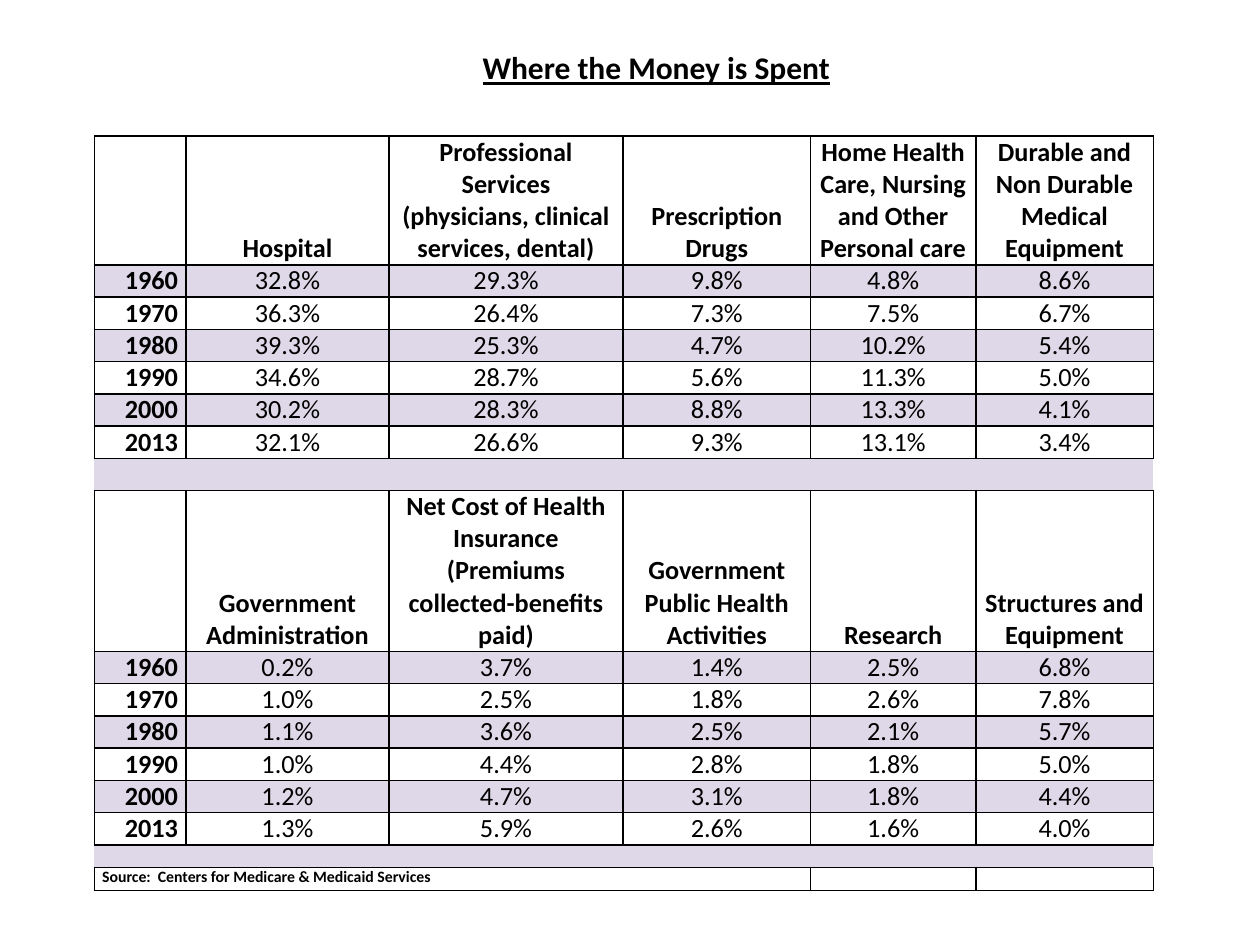
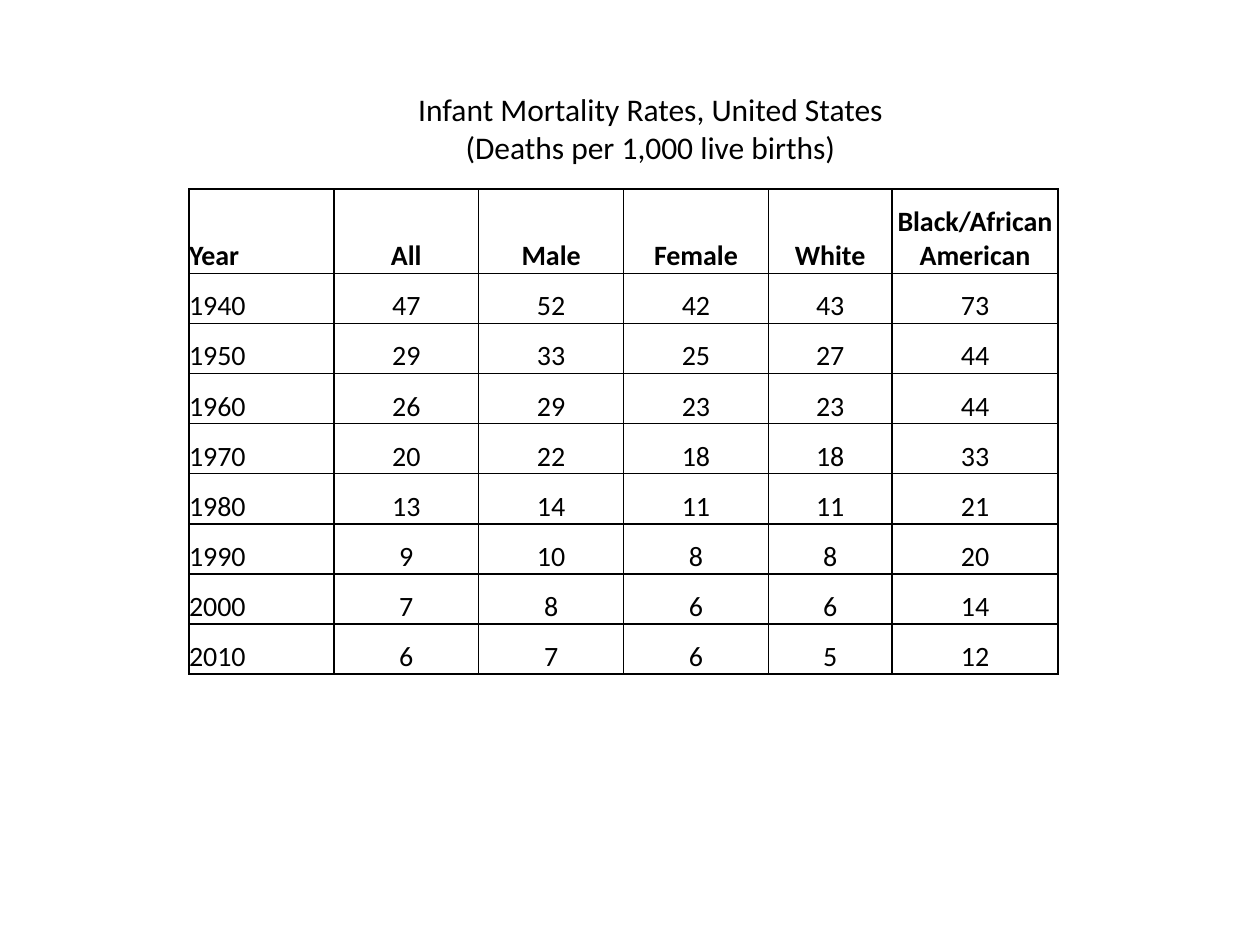
from dataclasses import dataclass
from typing import Optional

from lxml import etree
from pptx import Presentation
from pptx import util as u
from pptx.dml.color import RGBColor
from pptx.enum import text
from pptx.oxml.ns import qn

LEFT, CENTER, RIGHT = text.PP_ALIGN.LEFT, text.PP_ALIGN.CENTER, text.PP_ALIGN.RIGHT
TOP, BOTTOM = text.MSO_ANCHOR.TOP, text.MSO_ANCHOR.BOTTOM


@dataclass(frozen=True)
class Theme:
    font: str = "Calibri"
    ink: str = "000000"
    paper: str = "FFFFFF"
    band: str = "DFD8E8"
    title: float = 18
    spending: float = 15
    mortality: float = 16
    source: float = 9
    rule: float = 1


THEME = Theme()


@dataclass(frozen=True)
class CellStyle:
    size: float
    bold: bool = False
    align: text.PP_ALIGN = CENTER
    anchor: text.MSO_ANCHOR = BOTTOM
    inset: float = 0
    fill: Optional[str] = None
    side_rules: bool = True


@dataclass(frozen=True)
class Row:
    values: list[str]
    height: float
    first: CellStyle
    rest: CellStyle


# Shared drawing
def write_text(frame, content: str, *, size: float, bold: bool = False,
               underline: bool = False, align: text.PP_ALIGN = LEFT) -> None:
    for number, line in enumerate(content.split("\n")):
        para = frame.add_paragraph() if number else frame.paragraphs[0]
        para.alignment = align
        if not line:
            etree.SubElement(para._p, qn("a:endParaRPr"), sz=str(int(size * 100)))
            continue
        span = para.add_run()
        span.text = line
        span.font.name = THEME.font
        span.font.size = u.Pt(size)
        span.font.bold = bold
        span.font.underline = underline
        span.font.color.rgb = RGBColor.from_string(THEME.ink)


def draw_title(page, content: str, left: float, top: float, width: float,
               height: float, **style) -> None:
    box = page.shapes.add_textbox(u.Cm(left), u.Cm(top), u.Cm(width), u.Cm(height))
    box.text_frame.word_wrap = True
    box.text_frame.auto_size = text.MSO_AUTO_SIZE.SHAPE_TO_FIT_TEXT
    write_text(box.text_frame, content, size=THEME.title, align=CENTER, **style)


def rule_cell(cell, side_rules: bool) -> None:
    properties = cell._tc.get_or_add_tcPr()
    for side in "LRTB":
        line = etree.SubElement(properties, qn(f"a:ln{side}"), w=str(u.Pt(THEME.rule)))
        if side in "LR" and not side_rules:
            etree.SubElement(line, qn("a:noFill"))
        else:
            paint = etree.SubElement(line, qn("a:solidFill"))
            etree.SubElement(paint, qn("a:srgbClr"), val=THEME.ink)


def draw_cell(cell, content: str, style: CellStyle) -> None:
    rule_cell(cell, style.side_rules)
    if style.fill:
        cell.fill.solid()
        cell.fill.fore_color.rgb = RGBColor.from_string(style.fill)
    else:
        cell.fill.background()
    cell.margin_left = cell.margin_right = u.Cm(style.inset)
    cell.margin_top = cell.margin_bottom = 0
    cell.vertical_anchor = style.anchor
    write_text(cell.text_frame, content, size=style.size, bold=style.bold,
               align=style.align)


def draw_table(page, left: float, top: float, widths: list[float], rows: list[Row]):
    table = page.shapes.add_table(
        len(rows), len(widths), u.Cm(left), u.Cm(top), u.Cm(sum(widths)),
        u.Cm(sum(row.height for row in rows))).table
    table.first_row = table.horz_banding = False
    for column, width in zip(table.columns, widths):
        column.width = u.Cm(width)
    for r, row in enumerate(rows):
        table.rows[r].height = u.Cm(row.height)
        for c, value in enumerate(row.values):
            draw_cell(table.cell(r, c), value, row.rest if c else row.first)
    return table


# Health spending
SPENDING_WIDTHS = [1.85, 4.09, 4.72, 3.78, 3.33, 3.58]
SPENDING_INSET = 0.16
SPENDING_LINE = 0.65
SOURCE_LINE = 0.46
SPENDING_YEARS = ["1960", "1970", "1980", "1990", "2000", "2013"]

CARE_HEADS = ["Hospital", "Professional Services (physicians, clinical services, dental)",
              "Prescription Drugs", "Home Health Care, Nursing and Other Personal care",
              "Durable and Non Durable Medical Equipment"]
CARE_SHARES = [
    [32.8, 29.3, 9.8, 4.8, 8.6],
    [36.3, 26.4, 7.3, 7.5, 6.7],
    [39.3, 25.3, 4.7, 10.2, 5.4],
    [34.6, 28.7, 5.6, 11.3, 5.0],
    [30.2, 28.3, 8.8, 13.3, 4.1],
    [32.1, 26.6, 9.3, 13.1, 3.4],
]
OTHER_HEADS = ["Government Administration",
               "Net Cost of Health Insurance (Premiums collected-benefits paid)",
               "Government Public Health Activities", "Research",
               "Structures and Equipment"]
OTHER_SHARES = [
    [0.2, 3.7, 1.4, 2.5, 6.8],
    [1.0, 2.5, 1.8, 2.6, 7.8],
    [1.1, 3.6, 2.5, 2.1, 5.7],
    [1.0, 4.4, 2.8, 1.8, 5.0],
    [1.2, 4.7, 3.1, 1.8, 4.4],
    [1.3, 5.9, 2.6, 1.6, 4.0],
]


def spending_block(heads: list[str], head_height: float, shares: list[list[float]],
                   gap_height: float) -> list[Row]:
    """Header, banded years and the open band that closes the block."""
    head = CellStyle(THEME.spending, bold=True, inset=SPENDING_INSET)
    gap = CellStyle(THEME.source, fill=THEME.band, side_rules=False)
    rows = [Row(["", *heads], head_height, head, head)]
    for number, (year, values) in enumerate(zip(SPENDING_YEARS, shares)):
        fill = None if number % 2 else THEME.band
        rows.append(Row(
            [year, *(f"{value:.1f}%" for value in values)], SPENDING_LINE,
            CellStyle(THEME.spending, True, RIGHT, TOP, SPENDING_INSET, fill),
            CellStyle(THEME.spending, False, CENTER, TOP, SPENDING_INSET, fill)))
    return rows + [Row([""] * len(SPENDING_WIDTHS), gap_height, gap, gap)]


def draw_spending(page) -> None:
    source = CellStyle(THEME.source, True, LEFT, TOP, SPENDING_INSET)
    rows = spending_block(CARE_HEADS, 2.6, CARE_SHARES, SPENDING_LINE)
    rows += spending_block(OTHER_HEADS, 3.24, OTHER_SHARES, SOURCE_LINE)
    rows.append(Row(["Source:  Centers for Medicare & Medicaid Services"] + [""] * 5,
                    SOURCE_LINE, source, source))
    table = draw_table(page, 1.9, 2.74, SPENDING_WIDTHS, rows)
    last = len(rows) - 1
    table.cell(last, 0).merge(table.cell(last, 3))
    draw_title(page, "Where the Money is Spent", 7.2, 0.85, 12.06, 1.03,
               bold=True, underline=True)


# Infant mortality
MORTALITY_WIDTHS = [2.92] * 4 + [2.49, 3.35]
MORTALITY_HEADS = ["Year", "All", "Male", "Female", "White", "Black/African American"]
MORTALITY_RATES = {
    1940: [47, 52, 42, 43, 73],
    1950: [29, 33, 25, 27, 44],
    1960: [26, 29, 23, 23, 44],
    1970: [20, 22, 18, 18, 33],
    1980: [13, 14, 11, 11, 21],
    1990: [9, 10, 8, 8, 20],
    2000: [7, 8, 6, 6, 14],
    2010: [6, 7, 6, 5, 12],
}


def mortality_row(values: list, height: float, bold: bool = False) -> Row:
    first, rest = (CellStyle(THEME.mortality, bold, align, fill=THEME.paper)
                   for align in (LEFT, CENTER))
    return Row([str(value) for value in values], height, first, rest)


def draw_mortality(page) -> None:
    rows = [mortality_row(MORTALITY_HEADS, 1.7, bold=True)]
    rows += [mortality_row([year, *rates], 1.01) for year, rates in MORTALITY_RATES.items()]
    draw_table(page, 3.81, 3.81, MORTALITY_WIDTHS, rows)
    draw_title(page, "Infant Mortality Rates, United States\n(Deaths per 1,000 live births)",
               6.55, 1.7, 13.13, 1.8)


def main() -> None:
    deck = Presentation()
    deck.slide_width, deck.slide_height = u.Cm(25.4), u.Cm(19.05)
    for draw in (draw_spending, draw_mortality):
        draw(deck.slides.add_slide(deck.slide_layouts[6]))
    deck.save("out.pptx")


if __name__ == "__main__":
    main()
